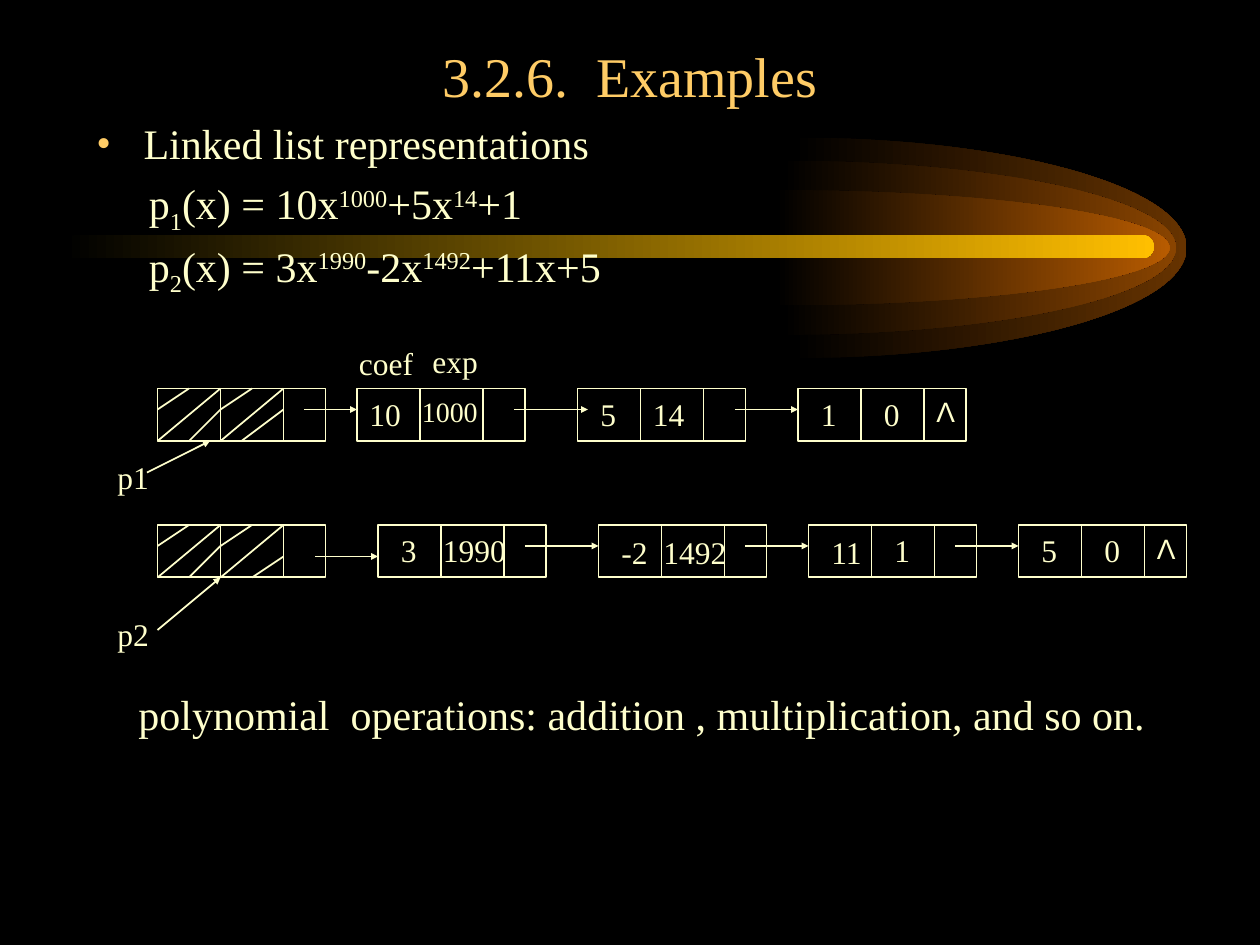
from dataclasses import dataclass

from lxml import etree
from pptx import Presentation
from pptx.dml.color import RGBColor
from pptx.enum.shapes import MSO_CONNECTOR, MSO_SHAPE
from pptx.enum.text import MSO_ANCHOR, PP_ALIGN
from pptx.oxml.ns import qn
from pptx.util import Pt

PX = 7620
STRAIGHT = MSO_CONNECTOR.STRAIGHT
RECTANGLE, ROUNDED = MSO_SHAPE.RECTANGLE, MSO_SHAPE.ROUNDED_RECTANGLE
BOTTOM, CENTER = MSO_ANCHOR.BOTTOM, PP_ALIGN.CENTER
SERIF, SANS = "Times New Roman", "Arial"
BLACK, CREAM, GOLD = "000000", "FFFFCC", "FFCC66"
NODE_W, NODE_H, FIELD_W = 160, 50, 60
SUBSCRIPT, SUPERSCRIPT = -25000, 30000
ARC_HANDLE = 0.55


@dataclass(frozen=True)
class Label:
    """A short text with its place on the slide."""
    text: str
    left: int
    top: int
    width: int
    size: int = 18
    font: str = SERIF


@dataclass(frozen=True)
class Line:
    """A straight line from one point to another."""
    x1: int
    y1: int
    x2: int
    y2: int
    arrow: bool = False


@dataclass(frozen=True)
class LinkedList:
    """One row of nodes with its links, header hatching and labels."""
    top: int
    nodes: tuple[int, ...]
    links: tuple[Line, ...]
    last_hatch: Line
    labels: tuple[Label, ...]


@dataclass(frozen=True)
class Glow:
    """A half ellipse of the comet head."""
    left: int
    radius_y: int
    color: str


GLOWS = (Glow(755, 105, "663300"), Glow(745, 83, "894400"), Glow(739, 55, "B75B00"))
GLOW_Y, GLOW_RADIUS_X = 236, 375

LISTS = (
    LinkedList(
        370, (150, 340, 550, 760),
        (Line(290, 390, 340, 390, True), Line(490, 390, 560, 390, True),
         Line(700, 390, 760, 390, True), Line(140, 450, 200, 420, True)),
        Line(270, 390, 230, 420),
        (Label("coef", 330, 322, 90), Label("exp", 400, 320, 120),
         Label("10", 340, 370, 80), Label("1000", 390, 370, 110, 16),
         Label("5", 560, 370, 70), Label("14", 610, 370, 100),
         Label("1", 770, 370, 60), Label("0", 830, 370, 50),
         Label("Λ", 880, 370, 40, 16, SANS), Label("p1", 100, 430, 70))),
    LinkedList(
        500, (150, 360, 570, 770, 970),
        (Line(300, 530, 360, 530, True), Line(500, 520, 570, 520, True),
         Line(710, 520, 770, 520, True), Line(910, 520, 970, 520, True),
         Line(150, 600, 210, 550, True)),
        Line(270, 530, 240, 550),
        (Label("3", 370, 500, 50), Label("1990", 410, 500, 100),
         Label("-2", 580, 502, 60), Label("1492", 620, 502, 90),
         Label("11", 780, 502, 60), Label("1", 840, 500, 60),
         Label("5", 980, 500, 60), Label("0", 1040, 500, 70),
         Label("Λ", 1090, 500, 50, 16, SANS), Label("p2", 100, 580, 90))),
)

POLYNOMIALS = (
    (("p", 0), ("1", SUBSCRIPT), ("(x) = 10x", 0), ("1000", SUPERSCRIPT),
     ("+5x", 0), ("14", SUPERSCRIPT), ("+1", 0)),
    (("p", 0), ("2", SUBSCRIPT), ("(x) = 3x", 0), ("1990", SUPERSCRIPT),
     ("-2x", 0), ("1492", SUPERSCRIPT), ("+11x+5", 0)),
)


def rgb(color: str) -> RGBColor:
    """Turn a hex string into a colour."""
    return RGBColor.from_string(color)


def fade(shape, color: str) -> None:
    """Fill a shape from black on the left to the colour on the right."""
    shape.shadow.inherit = False
    shape.line.fill.background()
    shape.fill.gradient()
    shape.fill.gradient_angle = 0
    for stop, stop_color in zip(shape.fill.gradient_stops, (BLACK, color)):
        stop.color.rgb = rgb(stop_color)


def draw_glow(slide, glow: Glow) -> None:
    """Draw one half ellipse of the comet head from two curves."""
    rx, ry = GLOW_RADIUS_X, glow.radius_y
    builder = slide.shapes.build_freeform(glow.left, GLOW_Y - ry, PX)
    builder.add_line_segments([(glow.left + rx, GLOW_Y), (glow.left, GLOW_Y + ry),
                               (glow.left, GLOW_Y)], close=True)
    shape = builder.convert_to_shape()
    along, across = rx * ARC_HANDLE, ry * ARC_HANDLE
    curves = (((along, 0), (rx, ry - across), (rx, ry)),
              ((rx, ry + across), (along, 2 * ry), (0, 2 * ry)))
    segments = list(shape._element.iter(qn("a:lnTo")))
    for segment, curve in zip(segments, curves):
        bezier = etree.Element(qn("a:cubicBezTo"))
        for x, y in curve:
            etree.SubElement(bezier, qn("a:pt"), x=str(round(x)), y=str(round(y)))
        segment.getparent().replace(segment, bezier)
    fade(shape, glow.color)


def draw_comet(slide) -> None:
    """Draw the comet head and its tail."""
    for glow in GLOWS:
        draw_glow(slide, glow)
    tail = slide.shapes.add_shape(ROUNDED, 60 * PX, 224 * PX, 1039 * PX, 22 * PX)
    tail.adjustments[0] = 0.5
    fade(tail, "FFBF00")


def add_frame(slide, left: int, top: int, width: int, height: int):
    """Add a wrapping text box and return its text frame."""
    frame = slide.shapes.add_textbox(left * PX, top * PX, width * PX, height * PX).text_frame
    frame.word_wrap = True
    return frame


def add_run(paragraph, text: str, size: int, color: str = CREAM,
            font: str = SERIF, baseline: int = 0) -> None:
    """Add one run of text, raised or lowered by the baseline."""
    run = paragraph.add_run()
    run.text = text
    run.font.size, run.font.name = Pt(size), font
    run.font.color.rgb = rgb(color)
    if baseline:
        run.font._element.set("baseline", str(baseline))


def set_indent(paragraph, margin: int, indent: int = 0) -> None:
    """Set the left margin and first-line indent of a paragraph."""
    properties = paragraph._p.get_or_add_pPr()
    properties.set("marL", str(margin * PX))
    properties.set("indent", str(indent * PX))


def add_bullet(paragraph, color: str) -> None:
    """Give a paragraph a coloured round bullet."""
    properties = paragraph._p.get_or_add_pPr()
    bullet_color = etree.SubElement(properties, qn("a:buClr"))
    etree.SubElement(bullet_color, qn("a:srgbClr"), val=color)
    etree.SubElement(properties, qn("a:buFont"), typeface=SERIF)
    etree.SubElement(properties, qn("a:buChar"), char="•")


def write_body(slide) -> None:
    """Write the bullet and the two polynomials."""
    frame = add_frame(slide, 80, 111, 1020, 560)
    heading = frame.paragraphs[0]
    set_indent(heading, 45, -45)
    add_bullet(heading, GOLD)
    heading.line_spacing = 0.9
    add_run(heading, "Linked list representations", 24)
    for terms in POLYNOMIALS:
        polynomial = frame.add_paragraph()
        set_indent(polynomial, 50)
        polynomial.line_spacing, polynomial.space_before = 0.9, Pt(6)
        for text, baseline in terms:
            add_run(polynomial, text, 24, baseline=baseline)


def draw_line(slide, line: Line) -> None:
    """Draw a line, with a small arrowhead at its end if it is an arrow."""
    connector = slide.shapes.add_connector(
        STRAIGHT, line.x1 * PX, line.y1 * PX, line.x2 * PX, line.y2 * PX)
    connector.line.color.rgb, connector.line.width = rgb(CREAM), Pt(1)
    if line.arrow:
        etree.SubElement(connector.line._get_or_add_ln(), qn("a:tailEnd"),
                         type="triangle", w="sm", len="sm")
    etree.SubElement(connector._element.spPr, qn("a:effectLst"))


def draw_node(slide, left: int, top: int) -> None:
    """Draw a node with its coefficient, exponent and link fields."""
    node = slide.shapes.add_shape(RECTANGLE, left * PX, top * PX, NODE_W * PX, NODE_H * PX)
    node.shadow.inherit = False
    node.fill.background()
    node.line.color.rgb, node.line.width = rgb(CREAM), Pt(1)
    for x in (left + FIELD_W, left + 2 * FIELD_W):
        draw_line(slide, Line(x, top, x, top + NODE_H))


def draw_list(slide, row: LinkedList) -> None:
    """Draw one linked list with its hatched header node."""
    for left in row.nodes:
        draw_node(slide, left, row.top)
    head, top, bottom = row.nodes[0], row.top, row.top + NODE_H
    hatches = [row.last_hatch, Line(head + 60, top + 20, head + 30, bottom)]
    for x in (head, head + FIELD_W):
        hatches += [Line(x + 30, top, x, top + 20), Line(x + FIELD_W, top, x, bottom)]
    for line in (*hatches, *row.links):
        draw_line(slide, line)
    for label in row.labels:
        frame = add_frame(slide, label.left, label.top, label.width, 48 if label.size == 18 else 44)
        add_run(frame.paragraphs[0], label.text, label.size, font=label.font)


def main() -> None:
    """Build the slide and save it."""
    deck = Presentation()
    deck.slide_width, deck.slide_height = 1200 * PX, 900 * PX
    slide = deck.slides.add_slide(deck.slide_layouts[6])
    slide.background.fill.solid()
    slide.background.fill.fore_color.rgb = rgb(BLACK)
    draw_comet(slide)
    title = add_frame(slide, 90, 39, 1020, 70)
    title.vertical_anchor = BOTTOM
    title.paragraphs[0].alignment = CENTER
    add_run(title.paragraphs[0], "3.2.6.  Examples", 32, GOLD)
    write_body(slide)
    closing = add_frame(slide, 120, 650, 1000, 133)
    add_run(closing.paragraphs[0],
            "polynomial  operations: addition , multiplication, and so on.", 24)
    for row in LISTS:
        draw_list(slide, row)
    deck.save("out.pptx")


if __name__ == "__main__":
    main()
